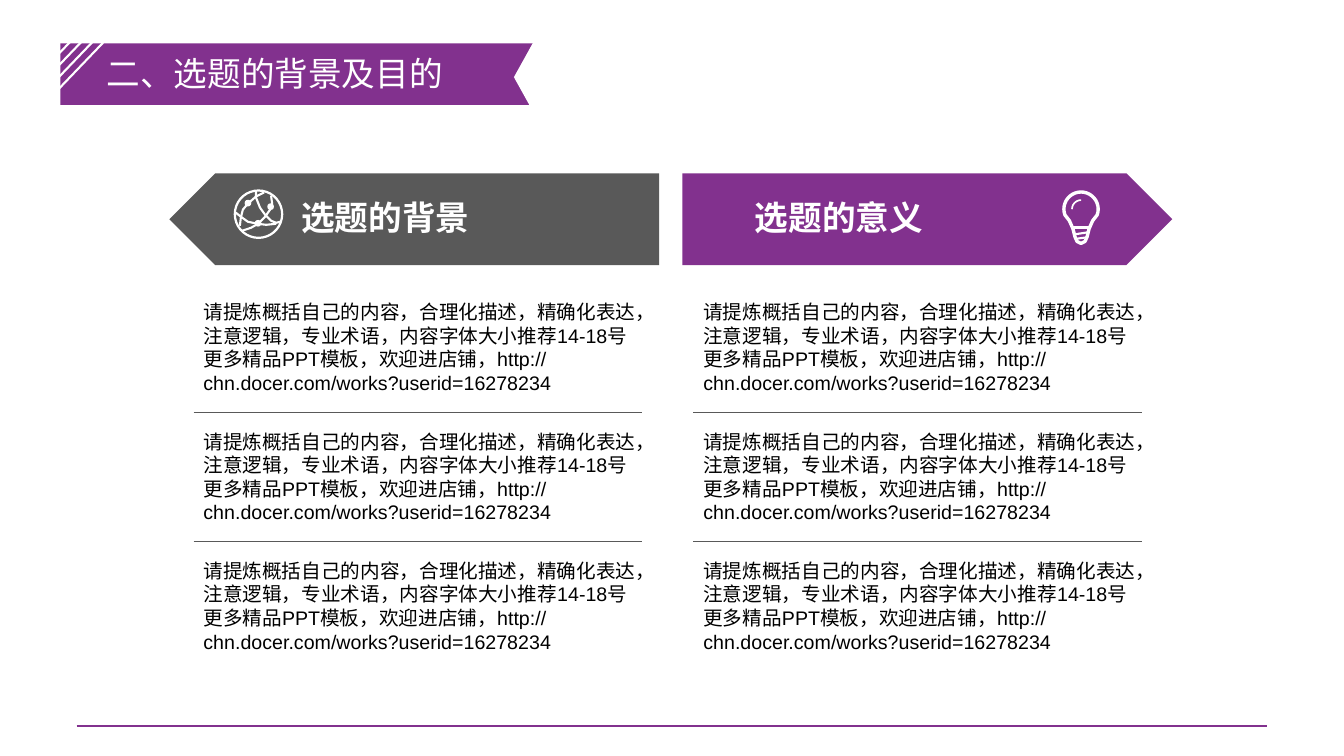
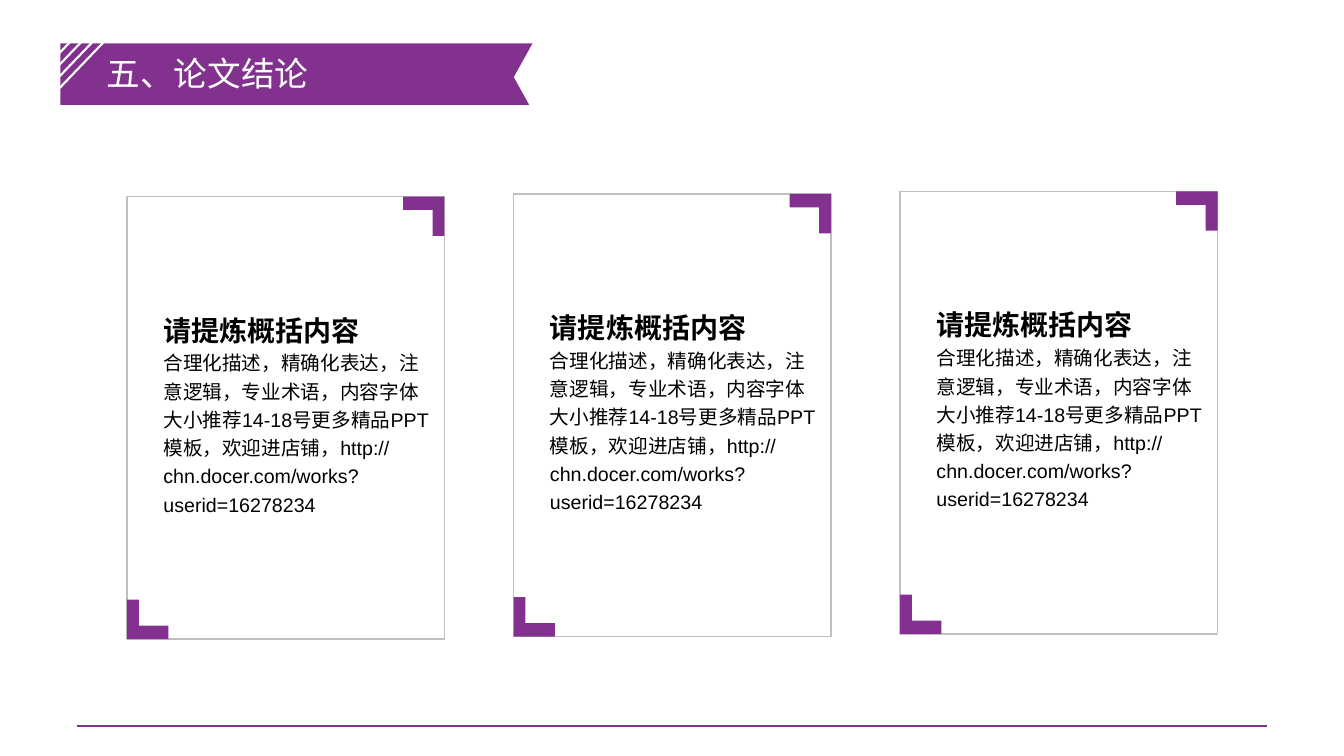
import math
from pptx import Presentation
from pptx import util as u
from pptx.dml.color import RGBColor
from pptx.enum import shapes, text
from pptx.oxml.ns import qn
from lxml import etree

PURPLE = RGBColor(0x82, 0x31, 0x8E)
GREY = RGBColor(0x59, 0x59, 0x59)
SILVER = RGBColor(0xBF, 0xBF, 0xBF)
WHITE = RGBColor(0xFF, 0xFF, 0xFF)
BLACK = RGBColor(0, 0, 0)
SHAPE = shapes.MSO_SHAPE
FONT = "Arial"

prs = Presentation()
prs.slide_width, prs.slide_height = 12192000, 6858000

# Grid of 100 columns by 100 rows; icons use a finer square unit
C, R = prs.slide_width / 100, prs.slide_height / 100
D = prs.slide_width / 1333


def draw(s, kind, x, y, w, h, fill=None, line=None, width=1.5, rotation=0):
    """Place a preset shape, or a straight line if kind is None."""
    left, top, right, bottom = (int(n) for n in (x * C, y * R, (x + w) * C, (y + h) * R))
    if kind is None:
        sp = s.shapes.add_connector(shapes.MSO_CONNECTOR.STRAIGHT, left, top, right, bottom)
    else:
        sp = s.shapes.add_shape(kind, left, top, right - left, bottom - top)
        sp.shadow.inherit = False
        sp.rotation = rotation
        if fill is None:
            sp.fill.background()
        else:
            sp.fill.solid()
            sp.fill.fore_color.rgb = fill
    if line is None:
        sp.line.fill.background()
    else:
        sp.line.color.rgb = line
        sp.line.width = u.Pt(width)
    if kind is None:
        etree.SubElement(sp._element.spPr, qn("a:effectLst"))
    return sp


def write(s, x, y, w, h, *paras, color=BLACK, wrap=True, spacing=None):
    """Add a text box; each paragraph is (text, size, bold)."""
    tb = s.shapes.add_textbox(int(x * C), int(y * R), int(w * C), int(h * R))
    tf = tb.text_frame
    tf.word_wrap = wrap
    tf.auto_size = text.MSO_AUTO_SIZE.SHAPE_TO_FIT_TEXT
    for i, (words, size, bold) in enumerate(paras):
        p = tf.add_paragraph() if i else tf.paragraphs[0]
        p.line_spacing = spacing
        r = p.add_run()
        r.text = words
        r.font.name, r.font.size, r.font.bold = FONT, u.Pt(size), bold
        r.font.color.rgb = color


# Shared frame: footer rule, ribbon with notch and stripes, title
slides = []
for title, width in (("二、选题的背景及目的", 26.8), ("五、论文结论", 16.65)):
    s = prs.slides.add_slide(prs.slide_layouts[6])
    draw(s, None, 5.7, 96, 88.6, 0, line=PURPLE)
    draw(s, SHAPE.RECTANGLE, 4.5, 5.73, 35.7, 8.13, fill=PURPLE)
    draw(s, SHAPE.ISOSCELES_TRIANGLE, 35.02, 8, 8.92, 4.4, fill=WHITE, rotation=270)
    for i in range(4):
        draw(s, None, 7.2 + 0.62 * i, 1.87 + 0.4 * i, -5.1, 9.46, line=WHITE)
    write(s, 7.2, 6.4, width, 6.67, (title, 24, False), color=WHITE, wrap=False)
    slides.append(s)
topic, conclusion = slides

# Slide 1: two arrows, each over a column of three paragraphs
URL = "http://chn.docer.com/works?userid=16278234"
DETAIL = "注意逻辑，专业术语，内容字体大小推荐14-18号更多精品PPT模板，欢迎进店铺，" + URL
BODY = "请提炼概括自己的内容，合理化描述，精确化表达，" + DETAIL
columns = (("选题的背景", 12.6, 21.68, 14.4, GREY, 180),
           ("选题的意义", 50.78, 55.43, 51.6, PURPLE, 0))
for heading, arrow_x, heading_x, body_x, color, turn in columns:
    draw(topic, SHAPE.PENTAGON, arrow_x, 22.93, 36.45, 12.13, fill=color, rotation=turn)
    write(topic, heading_x, 25.33, 14.1, 6.67, (heading, 24, True), color=WHITE, wrap=False)
    for row in range(3):
        y = 39.07 + 17.1 * row
        write(topic, body_x, y, 33.75, 13.87, (BODY, 14, False))
        if row < 2:
            draw(topic, None, body_x, y + 15.46, 33.38, 0, line=GREY, width=0.5)

# Icons: a globe with three nodes and a light bulb, as white strokes
GLOBE, BULB = (17.4, 25.07), (79.05, 25.2)
ring = [(24.5 + 23.5 * math.cos(math.radians(a)), 24.5 + 23.5 * math.sin(math.radians(a)))
        for a in range(0, 360, 10)]
glass = [(18.5 + 17 * math.cos(math.radians(a)), 18.5 + 17 * math.sin(math.radians(a)))
         for a in range(-200, 21, 10)]
glare = [(18.5 + 9 * math.cos(math.radians(a)), 18.5 + 9 * math.sin(math.radians(a)))
         for a in range(180, 271, 15)]
base = [(30, 30), (26.5, 38), (24.5, 46), (22.5, 50.5), (18.5, 52.5),
        (14.5, 50.5), (12.5, 46), (10.5, 38), (7, 30)]
strokes = (
    (GLOBE, 1.6, True, ring),
    (GLOBE, 1.5, False, [(22, 2), (22, 8), (26, 18), (31, 25), (37, 31), (42, 33), (46, 32)]),
    (GLOBE, 1.5, False, [(30, 3), (22, 7), (14, 14), (9, 20), (7, 28), (6, 36)]),
    (GLOBE, 1.5, False, [(37, 6), (38, 14), (36, 20), (31, 27), (24, 34), (17, 38), (8, 41)]),
    (GLOBE, 1.5, False, [(2, 23), (7, 27), (14, 32), (24, 34), (32, 35), (42, 34)]),
    (BULB, 2.4, True, glass + base),
    (BULB, 1.2, False, glare),
    (BULB, 2, False, [(10, 37), (27, 37)]),
    (BULB, 1.5, False, [(12, 43.5), (25, 41.5)]),
    (BULB, 1.5, False, [(13, 48), (24, 46.5)]),
)
for (x, y), width, closed, points in strokes:
    points = [(int(x * C + px * D), int(y * R + py * D)) for px, py in points]
    outline = topic.shapes.build_freeform(*points[0])
    outline.add_line_segments(points[1:], close=closed)
    sp = outline.convert_to_shape()
    sp.shadow.inherit = False
    sp.fill.background()
    sp.line.color.rgb = WHITE
    sp.line.width = u.Pt(width)
for px, py in ((14, 13.5), (36.5, 17), (24, 33.5)):
    draw(topic, SHAPE.OVAL, GLOBE[0] + (px - 3.3) * D / C, GLOBE[1] + (py - 3.3) * D / R,
         6.6 * D / C, 6.6 * D / R, fill=WHITE)

# Slide 2: three framed cards with two corner marks each
CARD_W, CARD_H, MARK_W, MARK_H = 23.62, 58.53, 3.08, 5.2
for i in range(3):
    x, y = 9.45 + 28.76 * i, 26 - 0.34 * i
    draw(conclusion, SHAPE.RECTANGLE, x, y, CARD_W, CARD_H, line=SILVER, width=1)
    for mark_x, mark_y, turn in ((x, y + CARD_H - MARK_H, 0), (x + CARD_W - MARK_W, y, 180)):
        sp = draw(conclusion, SHAPE.CORNER, mark_x, mark_y, MARK_W, MARK_H,
                  fill=PURPLE, rotation=turn)
        sp.adjustments[0], sp.adjustments[1] = 0.34, 0.3
    write(conclusion, x + 1.97, y + 13.87, 21.67, 29.07, ("请提炼概括内容", 20, True),
          ("合理化描述，精确化表达，" + DETAIL, 14, False), spacing=1.2)

prs.save("out.pptx")
